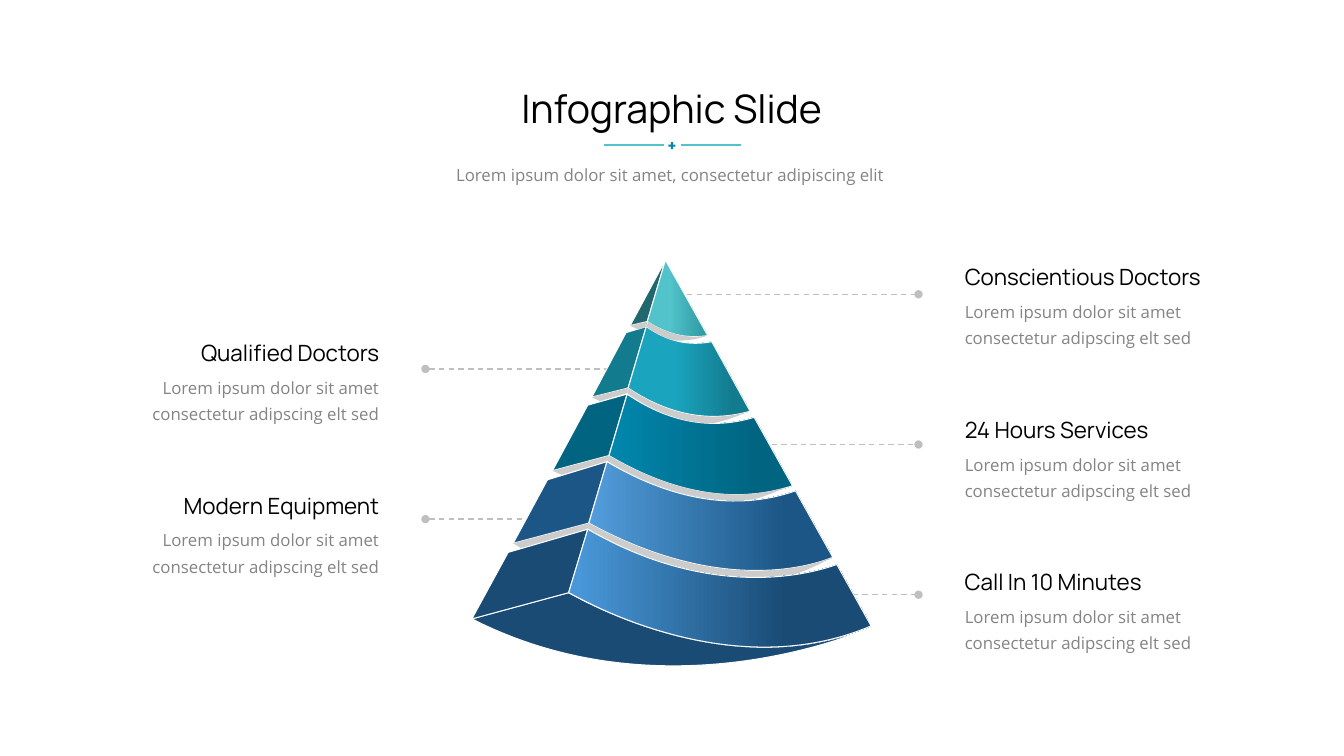
import dataclasses

import pptx
import pptx.dml.color
import pptx.enum.dml
import pptx.enum.shapes
import pptx.enum.text
import pptx.oxml
import pptx.oxml.ns
import pptx.util

Inches = pptx.util.Inches
Pt = pptx.util.Pt
ALIGN = pptx.enum.text.PP_ALIGN
NS = pptx.oxml.ns.nsdecls("a")


@dataclasses.dataclass(frozen=True)
class Theme:
    heading_font: str = "Manrope"
    body_font: str = "Open Sans"
    title_size: float = 28
    heading_size: float = 16
    body_size: float = 12
    ink: str = "000000"
    muted: str = "848484"
    guide: str = "BFBFBF"
    shade: str = "CCCCCC"
    edge: str = "FFFFFF"
    rule: str = "52C3CB"
    plus: str = "0187AD"
    base: str = "194B75"


@dataclasses.dataclass(frozen=True)
class Tier:
    side_color: str
    stops: tuple
    top: tuple
    bottom: tuple
    side_top: tuple
    side_bottom: tuple
    rim: tuple
    crest: tuple = ()
    shade: tuple = ()
    gap: tuple = ()
    lip: tuple = ()


THEME = Theme()
CURVE_STEPS = 24
BODY = "Lorem ipsum dolor sit amet consectetur adipscing elt sed"

TIERS = [
    Tier("016582", ((0, "0187AD"), (0.8, "016582")),
         (6.22, 3.91), (6.04, 4.52), (5.83, 4.02), (5.48, 4.67),
         (6.82, 4.98, 7.43, 4.96, 7.86, 4.82),
         ((7.48, 4.14), (7.12, 4.25, 6.69, 4.23, 6.22, 3.91)),
         ((7.42, 4.97), (7.61, 4.92, 7.74, 4.86, 7.81, 4.83),
          (7.39, 4.96, 6.79, 4.96, 6.04, 4.52), (6.02, 4.58),
          (6.57, 4.91, 7.05, 4.99, 7.42, 4.97)),
         (6.02, 4.58), (5.57, 4.71)),
    Tier("1C5686", ((0, "529DDB"), (0.81, "1C5686")),
         (6.02, 4.58), (5.84, 5.19), (5.43, 4.76), (5.09, 5.39),
         (7.12, 5.89, 8.01, 5.63, 8.26, 5.53),
         ((7.89, 4.87), (7.46, 5.02, 6.83, 5.06, 6.02, 4.58)),
         ((7.88, 5.7), (8.05, 5.64, 8.2, 5.56, 8.25, 5.53),
          (7.98, 5.64, 7.1, 5.88, 5.84, 5.19), (5.83, 5.25),
          (6.7, 5.76, 7.44, 5.77, 7.88, 5.7)),
         (5.83, 5.25), (5.17, 5.44)),
    Tier("137B8E", ((0.38, "1AA4BE"), (0.87, "137B8E")),
         (6.41, 3.24), (6.23, 3.85), (6.21, 3.3), (5.87, 3.94),
         (6.68, 4.15, 7.09, 4.18, 7.44, 4.08),
         ((7.06, 3.39), (6.85, 3.43, 6.64, 3.4, 6.41, 3.24)),
         ((7.07, 4.2), (7.25, 4.16, 7.36, 4.11, 7.4, 4.09),
          (7.06, 4.18, 6.66, 4.14, 6.23, 3.85), (6.22, 3.9),
          (6.52, 4.11, 6.81, 4.2, 7.07, 4.2)),
         (6.22, 3.9), (5.95, 3.98)),
    Tier("21686E", ((0.36, "52C3CB"), (0.92, "319DA4")),
         (6.6, 2.58), (6.42, 3.19), (6.6, 2.58), (6.25, 3.23),
         (6.63, 3.33, 6.83, 3.36, 7.02, 3.33), (),
         ((6.41, 3.24), (6.51, 3.31, 6.6, 3.36, 6.7, 3.38),
          (6.84, 3.38, 6.94, 3.36, 7, 3.33),
          (6.82, 3.36, 6.63, 3.32, 6.43, 3.19)),
         (6.41, 3.24), (6.33, 3.27)),
    Tier("194B75", ((0.03, "4997D8"), (0.72, "194B75")),
         (5.83, 5.25), (5.64, 5.88), (5.04, 5.48), (4.68, 6.14),
         (5.76, 5.94, 7.24, 6.81, 8.64, 6.21),
         ((8.3, 5.6), (8.16, 5.65, 7.14, 6.01, 5.83, 5.25))),
]
BASE = ((5.64, 5.88), (4.68, 6.14), (6.64, 7.14, 8.65, 6.22, 8.65, 6.22),
        (8.65, 6.21), (7.24, 6.81, 5.76, 5.94, 5.64, 5.88))
GUIDES = [(7.46, 9.11, 4.41, "tail"), (6.62, 9.11, 2.92, "tail"),
          (8.36, 9.11, 5.9, "tail"), (4.22, 6.14, 3.66, "head"),
          (4.22, 5.38, 5.15, "head")]
LEFT = (1.12, 2.74, ALIGN.RIGHT)
RIGHT = (9.47, 3.08, ALIGN.LEFT)
CALLOUTS = [(LEFT, 3.32, 2.45, "Qualified Doctors"),
            (LEFT, 4.83, 2.46, "Modern Equipment"),
            (RIGHT, 2.56, 3.08, "Conscientious Doctors"),
            (RIGHT, 4.08, 2.38, "24 Hours Services"),
            (RIGHT, 5.59, 2.5, "Call In 10 Minutes")]


def rgb(color):
    return pptx.dml.color.RGBColor.from_string(color)


def flatten(path):
    points = [path[0]]
    for step in path[1:]:
        if len(step) == 2:
            points.append(step)
            continue
        start, c1, c2, end = points[-1], step[:2], step[2:4], step[4:]
        for i in range(1, CURVE_STEPS + 1):
            t = i / CURVE_STEPS
            u = 1 - t
            points.append(tuple(
                u**3 * a + 3 * u * u * t * b + 3 * u * t * t * c + t**3 * d
                for a, b, c, d in zip(start, c1, c2, end)))
    return points


def set_curves(sp, path):
    outline = sp._element.spPr.find(".//" + pptx.oxml.ns.qn("a:path"))
    for child in list(outline):
        outline.remove(child)
    for i, step in enumerate(path):
        tag = "moveTo" if i == 0 else "lnTo" if len(step) == 2 else "cubicBezTo"
        points = "".join(
            f'<a:pt x="{Inches(x) - sp.left}" y="{Inches(y) - sp.top}"/>'
            for x, y in zip(step[::2], step[1::2]))
        outline.append(pptx.oxml.parse_xml(f"<a:{tag} {NS}>{points}</a:{tag}>"))
    outline.append(pptx.oxml.parse_xml(f"<a:close {NS}/>"))


def add_outline(slide, path, color=None, stops=None, edged=True):
    points = [(Inches(x), Inches(y)) for x, y in flatten(path)]
    builder = slide.shapes.build_freeform(*points[0], scale=1.0)
    builder.add_line_segments(points[1:], close=True)
    sp = builder.convert_to_shape()
    set_curves(sp, path)
    sp.shadow.inherit = False
    if stops:
        sp.fill.gradient()
        sp.fill.gradient_angle = 0
        for stop, (position, stop_color) in zip(sp.fill.gradient_stops, stops):
            stop.position = position
            stop.color.rgb = rgb(stop_color)
    else:
        sp.fill.solid()
        sp.fill.fore_color.rgb = rgb(color)
    if edged:
        sp.line.color.rgb = rgb(THEME.edge)
        sp.line.width = Pt(0.75)
    else:
        sp.line.fill.background()


def add_tier(slide, tier):
    add_outline(slide, (tier.bottom, tier.top, tier.side_top, tier.side_bottom),
                tier.side_color)
    add_outline(slide, (tier.top, tier.bottom, tier.rim, *tier.crest),
                stops=tier.stops)
    if tier.shade:
        lip = (tier.gap, tier.bottom, tier.side_bottom, tier.lip)
        for path in (tier.shade, lip):
            add_outline(slide, path, THEME.shade, edged=False)


def add_rule(slide, x1, x2, y, color, width, dot=None):
    line = slide.shapes.add_connector(
        pptx.enum.shapes.MSO_CONNECTOR.STRAIGHT,
        Inches(x1), Inches(y), Inches(x2), Inches(y))
    line.line.color.rgb = rgb(color)
    line.line.width = Pt(width)
    if dot:
        line.line.dash_style = pptx.enum.dml.MSO_LINE.DASH
        end = pptx.oxml.parse_xml(f'<a:{dot}End {NS} type="oval"/>')
        line.line._get_or_add_ln().append(end)
    line._element.spPr.append(pptx.oxml.parse_xml(f"<a:effectLst {NS}/>"))


def add_text(slide, x, y, w, h, text, font, size, color, align, spacing=None):
    tf = slide.shapes.add_textbox(Inches(x), Inches(y), Inches(w), Inches(h)).text_frame
    tf.word_wrap = True
    tf.auto_size = pptx.enum.text.MSO_AUTO_SIZE.SHAPE_TO_FIT_TEXT
    p = tf.paragraphs[0]
    p.text = text
    p.alignment = align
    if spacing:
        p.line_spacing = spacing
    p.font.name = font
    p.font.size = Pt(size)
    p.font.color.rgb = rgb(color)


def add_callout(slide, column, y, heading_w, heading):
    x, w, align = column
    add_text(slide, x, y + 0.32, w, 0.6, BODY, THEME.body_font,
             THEME.body_size, THEME.muted, align, 1.3)
    heading_x = x + w - heading_w if align == ALIGN.RIGHT else x
    add_text(slide, heading_x, y, heading_w, 0.37, heading, THEME.heading_font,
             THEME.heading_size, THEME.ink, align)


def add_header(slide):
    for x in (6.75, 5.99):
        add_rule(slide, x, x + 0.6, 1.44, THEME.rule, 1.5)
    plus = slide.shapes.add_shape(pptx.enum.shapes.MSO_SHAPE.CROSS, Inches(6.63),
                                  Inches(1.41), Inches(0.07), Inches(0.07))
    plus.adjustments[0] = 0.35
    plus.shadow.inherit = False
    plus.fill.solid()
    plus.fill.fore_color.rgb = rgb(THEME.plus)
    plus.line.fill.background()
    add_text(slide, 4.27, 0.79, 4.78, 0.57, "Infographic Slide", THEME.heading_font,
             THEME.title_size, THEME.ink, ALIGN.CENTER)
    add_text(slide, 3.23, 1.53, 6.88, 0.34,
             "Lorem ipsum dolor sit amet, consectetur adipiscing elit ",
             THEME.body_font, THEME.body_size, THEME.muted, ALIGN.CENTER, 1.3)


def main():
    prs = pptx.Presentation()
    prs.slide_width, prs.slide_height = Inches(13.33), Inches(7.5)
    slide = prs.slides.add_slide(prs.slide_layouts[6])
    for x1, x2, y, dot in GUIDES:
        add_rule(slide, x1, x2, y, THEME.guide, 1, dot)
    for tier in TIERS[:-1]:
        add_tier(slide, tier)
    add_outline(slide, BASE, THEME.base)
    add_tier(slide, TIERS[-1])
    for callout in CALLOUTS:
        add_callout(slide, *callout)
    add_header(slide)
    prs.save("out.pptx")


if __name__ == "__main__":
    main()
